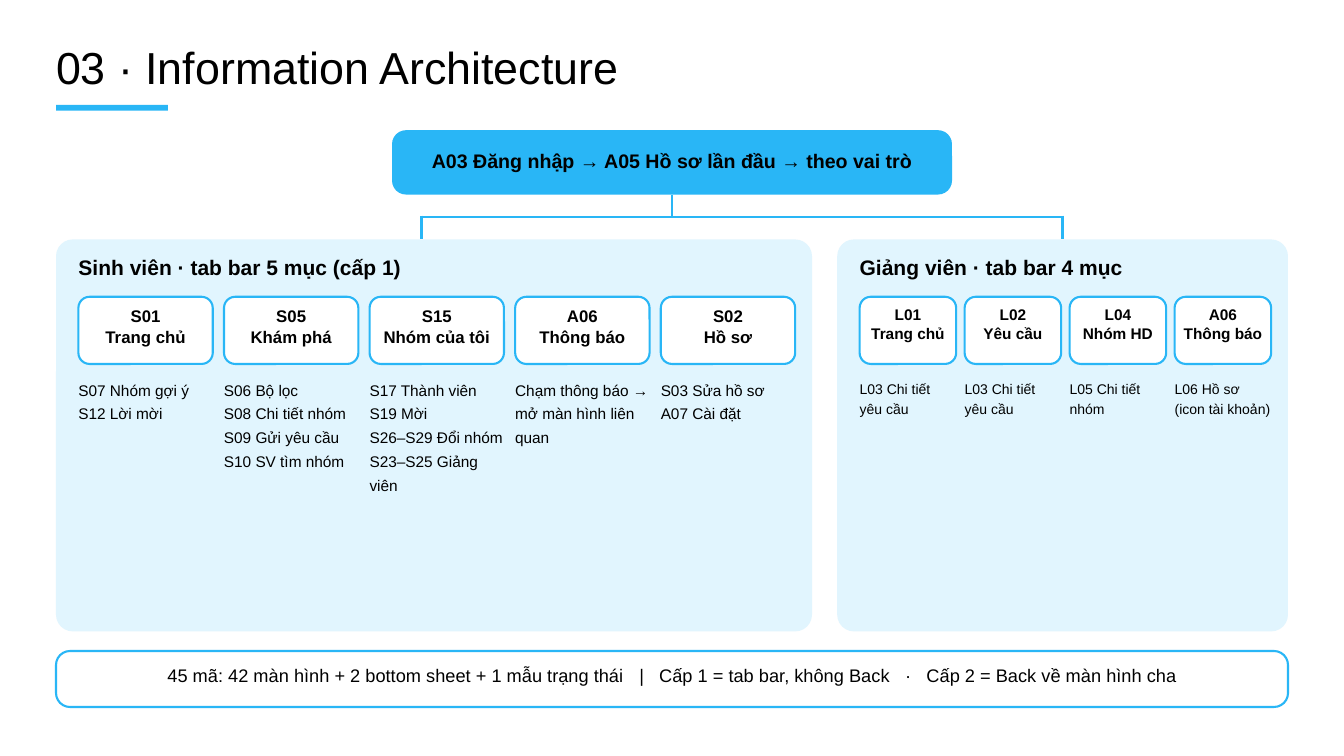
import pptx
import pptx.dml.color
import pptx.enum.shapes
import pptx.enum.text
import pptx.util
from lxml import etree
from pptx.oxml.ns import qn

Pt = pptx.util.Pt
RGBColor = pptx.dml.color.RGBColor
MSO_SHAPE = pptx.enum.shapes.MSO_SHAPE
PP_ALIGN = pptx.enum.text.PP_ALIGN

BLUE = RGBColor(0x29, 0xB6, 0xF6)
PALE_BLUE = RGBColor(0xE1, 0xF5, 0xFE)
WHITE = RGBColor(0xFF, 0xFF, 0xFF)
BLACK = RGBColor(0x00, 0x00, 0x00)

CARD_TOP, CARD_HEIGHT = 318, 72

STUDENT_TABS = [
    ("S01", "Trang chủ", ["S07 Nhóm gợi ý", "S12 Lời mời"]),
    ("S05", "Khám phá", ["S06 Bộ lọc", "S08 Chi tiết nhóm",
                         "S09 Gửi yêu cầu", "S10 SV tìm nhóm"]),
    ("S15", "Nhóm của tôi", ["S17 Thành viên", "S19 Mời",
                             "S26–S29 Đổi nhóm", "S23–S25 Giảng viên"]),
    ("A06", "Thông báo", ["Chạm thông báo → mở màn hình liên quan"]),
    ("S02", "Hồ sơ", ["S03 Sửa hồ sơ", "A07 Cài đặt"]),
]
LECTURER_TABS = [
    ("L01", "Trang chủ", ["L03 Chi tiết yêu cầu"]),
    ("L02", "Yêu cầu", ["L03 Chi tiết yêu cầu"]),
    ("L04", "Nhóm HD", ["L05 Chi tiết nhóm"]),
    ("A06", "Thông báo", ["L06 Hồ sơ", "(icon tài khoản)"]),
]
FOOTER = ["45 mã: 42 màn hình + 2 bottom sheet + 1 mẫu trạng thái", "|",
          "Cấp 1 = tab bar, không Back", "·", "Cấp 2 = Back về màn hình cha"]


class SlideBuilder:
    font_name = "Arial"
    line_width = 2.25

    def __init__(self, slide):
        self.slide = slide

    def fill_text(self, shape, lines, size, spacing, bold=False,
                  align=PP_ALIGN.LEFT, inset_left=0, inset_top=0):
        """Each line is a string, or a list of pieces set apart by wide gaps."""
        frame = shape.text_frame
        frame.word_wrap = True
        frame.auto_size = pptx.enum.text.MSO_AUTO_SIZE.NONE
        frame.vertical_anchor = pptx.enum.text.MSO_ANCHOR.TOP
        frame.margin_left, frame.margin_top = Pt(inset_left), Pt(inset_top)
        frame.margin_right = frame.margin_bottom = 0
        for index, line in enumerate(lines):
            paragraph = frame.add_paragraph() if index else frame.paragraphs[0]
            pieces = [line] if isinstance(line, str) else line
            for number, piece in enumerate(pieces):
                if number:
                    gap = paragraph.add_run()
                    gap.text = " "
                    # Letter spacing, in hundredths of a point
                    gap.font._element.set("spc", "1080")
                paragraph.add_run().text = piece
            paragraph.alignment = align
            paragraph.line_spacing = Pt(spacing)
            paragraph.space_before = paragraph.space_after = Pt(0)
            font = paragraph.font
            font.name, font.size, font.bold = self.font_name, Pt(size), bold
            font.color.rgb = BLACK

    def title(self, text, left, top, width, height):
        shape = self.slide.shapes.title
        shape.left, shape.top = Pt(left), Pt(top)
        shape.width, shape.height = Pt(width), Pt(height)
        self.fill_text(shape, [text], 48, 48)

    def text(self, lines, left, top, width, height, size, spacing):
        shape = self.slide.shapes.add_textbox(
            Pt(left), Pt(top), Pt(width), Pt(height))
        self.fill_text(shape, lines, size, spacing)

    def box(self, left, top, width, height, fill, radius=0, outlined=False):
        kind = MSO_SHAPE.ROUNDED_RECTANGLE if radius else MSO_SHAPE.RECTANGLE
        shape = self.slide.shapes.add_shape(
            kind, Pt(left), Pt(top), Pt(width), Pt(height))
        if radius:
            shape.adjustments[0] = radius / min(width, height)
        shape.shadow.inherit = False
        shape.fill.solid()
        shape.fill.fore_color.rgb = fill
        if outlined:
            shape.line.color.rgb = BLUE
            shape.line.width = Pt(self.line_width)
        else:
            shape.line.fill.background()
        return shape

    def text_box(self, lines, left, top, width, height, fill, radius, size,
                 spacing, text_top, text_left=0, bold=True,
                 align=PP_ALIGN.CENTER, outlined=False):
        shape = self.box(left, top, width, height, fill, radius, outlined)
        corner = 0.29 * radius  # a rounded box already insets its text this far
        self.fill_text(shape, lines, size, spacing, bold, align,
                       max(text_left - corner, 0), text_top - corner)

    def line(self, x1, y1, x2, y2):
        connector = self.slide.shapes.add_connector(
            pptx.enum.shapes.MSO_CONNECTOR.STRAIGHT,
            Pt(x1), Pt(y1), Pt(x2), Pt(y2))
        connector.line.color.rgb = BLUE
        connector.line.width = Pt(3)
        etree.SubElement(connector._element.spPr, qn("a:effectLst"))

    def role_panel(self, heading, tabs, left, width, gap, card_width,
                   card_style, detail_style, detail_top):
        self.text_box([heading], left, 256.5, width, 420, PALE_BLUE, 18,
                      22.5, 31.5, text_top=12, text_left=24,
                      align=PP_ALIGN.LEFT)
        for index, (code, name, details) in enumerate(tabs):
            card_left = left + 24 + index * (card_width + gap)
            self.text_box([code, name], card_left, CARD_TOP, card_width,
                          CARD_HEIGHT, WHITE, 12, *card_style, text_top=8.25,
                          outlined=True)
            self.text(details, card_left, detail_top, card_width, 128,
                      *detail_style)


def main():
    presentation = pptx.Presentation()
    presentation.slide_width, presentation.slide_height = Pt(1440), Pt(810)
    builder = SlideBuilder(
        presentation.slides.add_slide(presentation.slide_layouts[5]))

    # Title and accent bar
    builder.title("03 · Information Architecture", 60, 51.75, 1335, 51)
    builder.box(60, 112.5, 120, 6, BLUE)

    # Entry point and branches to both roles
    builder.text_box(["A03 Đăng nhập → A05 Hồ sơ lần đầu → theo vai trò"],
                     420, 139.5, 600, 69, BLUE, 15, 21, 29.4, text_top=16)
    builder.line(720, 208.5, 720, 232.5)
    builder.line(450, 232.5, 1140, 232.5)
    for x in (451.5, 1138.5):
        builder.line(x, 231, x, 256.5)

    # Role panels; each style is font size and line spacing
    builder.role_panel("Sinh viên · tab bar 5 mục (cấp 1)", STUDENT_TABS,
                       60, 810, 12, 144, (18, 22.5), (16.5, 25.6), 402)
    builder.role_panel("Giảng viên · tab bar 4 mục", LECTURER_TABS,
                       897, 483, 9, 103.5, (16.5, 20.6), (15, 21.8), 404)

    # Footer summary
    builder.text_box([FOOTER], 60, 697.5, 1320, 60, WHITE, 15, 19.5, 27.3,
                     text_top=10.5, bold=False, outlined=True)

    presentation.save("out.pptx")


if __name__ == "__main__":
    main()
